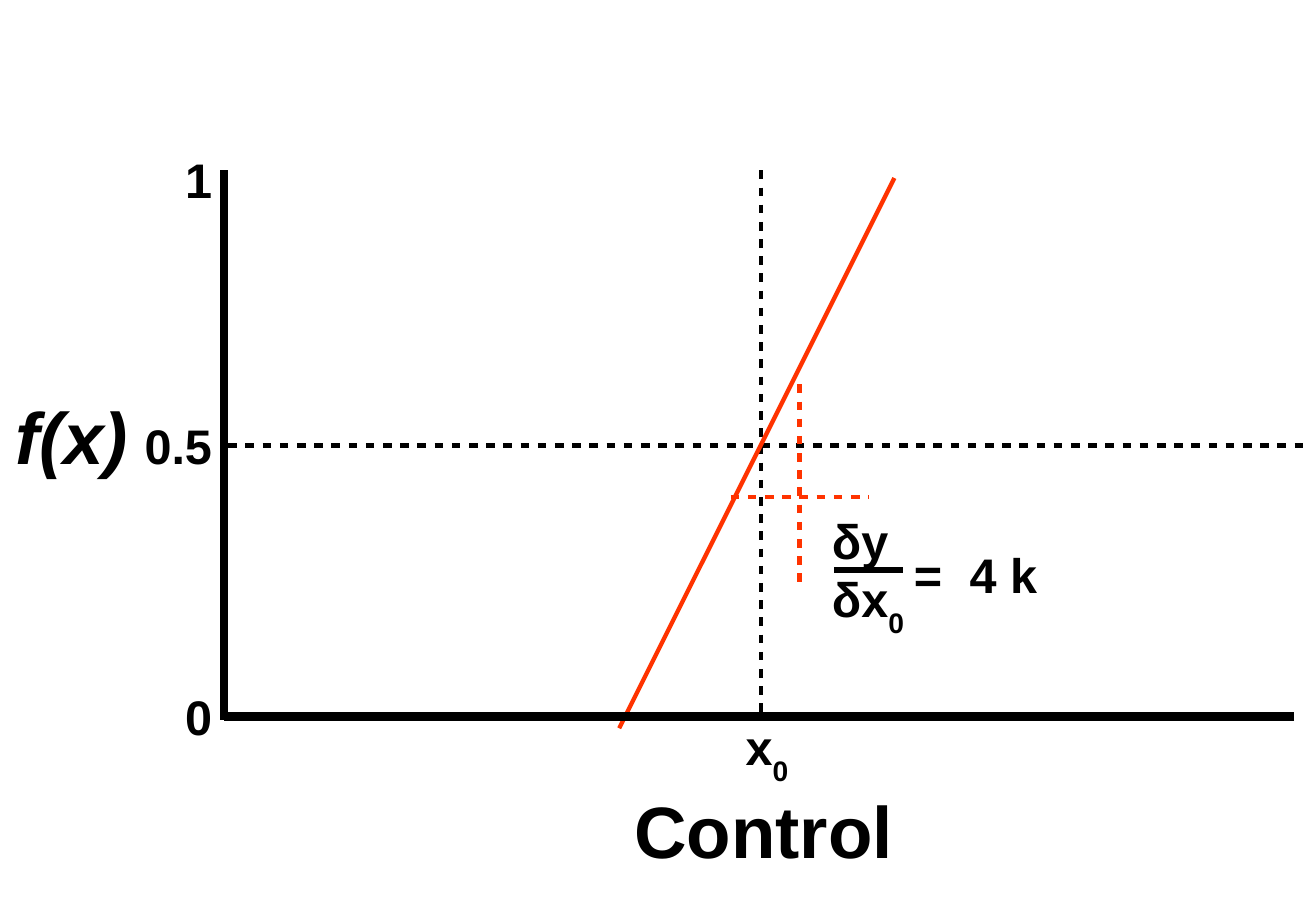
from dataclasses import dataclass

from lxml.etree import SubElement
from pptx import Presentation
from pptx.dml.color import RGBColor
from pptx.enum.shapes import MSO_CONNECTOR
from pptx.enum.text import MSO_AUTO_SIZE, PP_ALIGN
from pptx.oxml.ns import qn
from pptx.slide import Slide
from pptx.util import Inches, Pt


@dataclass(frozen=True)
class Theme:
    font: str = "Arial"
    ink: RGBColor = RGBColor(0x00, 0x00, 0x00)
    accent: RGBColor = RGBColor(0xFF, 0x33, 0x00)
    label_size: int = 32
    title_size: int = 48
    thin: float = 2.83
    medium: float = 4.25
    thick: float = 5.67


THEME = Theme()


@dataclass(frozen=True)
class Stroke:
    start: tuple[float, float]
    end: tuple[float, float]
    color: RGBColor = THEME.ink
    width: float = THEME.thin
    dashed: bool = False


@dataclass(frozen=True)
class Label:
    left: float
    top: float
    width: float
    height: float
    lines: tuple[tuple[str, str], ...]
    size: int = THEME.label_size
    align: PP_ALIGN = PP_ALIGN.LEFT
    italic: bool = False
    tab: float | None = None


AXIS_X, AXIS_Y = 2.05, 6.56
CENTER_X, CENTER_Y = 6.97, 4.08
PLOT_TOP, PLOT_BOTTOM = 1.56, 6.59

STROKES = (
    Stroke((2.09, CENTER_Y), (11.93, CENTER_Y), dashed=True),
    Stroke((CENTER_X, PLOT_TOP), (CENTER_X, PLOT_BOTTOM), dashed=True),
    Stroke((8.19, 1.63), (5.67, 6.67), THEME.accent),
    Stroke((AXIS_X, PLOT_TOP), (AXIS_X, PLOT_BOTTOM), width=THEME.thick),
    Stroke((11.85, AXIS_Y), (AXIS_X, AXIS_Y), width=THEME.thick),
    Stroke((6.69, 4.55), (7.95, 4.55), THEME.accent, dashed=True),
    Stroke((7.32, 3.52), (7.32, 5.34), THEME.accent, dashed=True),
    Stroke((7.64, 5.22), (8.27, 5.22), width=THEME.medium),
)

TICKS = tuple(
    Label(1.1, top, 0.94, 0.6, ((text, ""),), align=PP_ALIGN.RIGHT)
    for text, top in (("0", 6.24), ("1", 1.32), ("0.5", 3.76))
)

LABELS = TICKS + (
    Label(6.73, 6.52, 0.94, 0.7, (("x", "0"),)),
    Label(7.52, 4.63, 0.94, 1.2, (("δy", ""), ("δx", "0"))),
    Label(8.27, 4.94, 1.73, 1.59, (("=\t4 k", ""),), tab=0.51),
    Label(5.71, 7.15, 2.83, 1.1, (("Control", ""),), THEME.title_size),
    Label(0.04, 3.54, 2.83, 1.59, (("f(x)", ""),), THEME.title_size, italic=True),
)


def draw_stroke(page: Slide, stroke: Stroke) -> None:
    points = [Inches(value) for value in stroke.start + stroke.end]
    connector = page.shapes.add_connector(MSO_CONNECTOR.STRAIGHT, *points)
    connector.line.color.rgb = stroke.color
    connector.line.width = Pt(stroke.width)
    properties = connector._element.spPr
    if stroke.dashed:
        pattern = SubElement(properties.find(qn("a:ln")), qn("a:custDash"))
        SubElement(pattern, qn("a:ds"), d="200000", sp="200000")
    SubElement(properties, qn("a:effectLst"))


def draw_label(page: Slide, label: Label) -> None:
    bounds = (label.left, label.top, label.width, label.height)
    box = page.shapes.add_textbox(*(Inches(value) for value in bounds))
    frame = box.text_frame
    frame.word_wrap = True
    frame.auto_size = MSO_AUTO_SIZE.SHAPE_TO_FIT_TEXT
    font_format = {
        "name": THEME.font,
        "size": Pt(label.size),
        "bold": True,
        "italic": label.italic,
    }
    for index, (text, subscript) in enumerate(label.lines):
        para = frame.add_paragraph() if index else frame.paragraphs[0]
        para.alignment = label.align
        if label.tab is not None:
            tabs = SubElement(para._p.get_or_add_pPr(), qn("a:tabLst"))
            SubElement(tabs, qn("a:tab"), pos=str(Inches(label.tab)), algn="l")
        for content, baseline in ((text, 0), (subscript, -33000)):
            if not content:
                continue
            span = para.add_run()
            span.text = content
            for name, value in font_format.items():
                setattr(span.font, name, value)
            span.font.color.rgb = THEME.ink
            if baseline:
                span._r.get_or_add_rPr().set("baseline", str(baseline))


def main() -> None:
    deck = Presentation()
    deck.slide_width, deck.slide_height = Inches(12.05), Inches(8.27)
    page = deck.slides.add_slide(deck.slide_layouts[6])
    for stroke in STROKES:
        draw_stroke(page, stroke)
    for label in LABELS:
        draw_label(page, label)
    deck.save("out.pptx")


if __name__ == "__main__":
    main()
